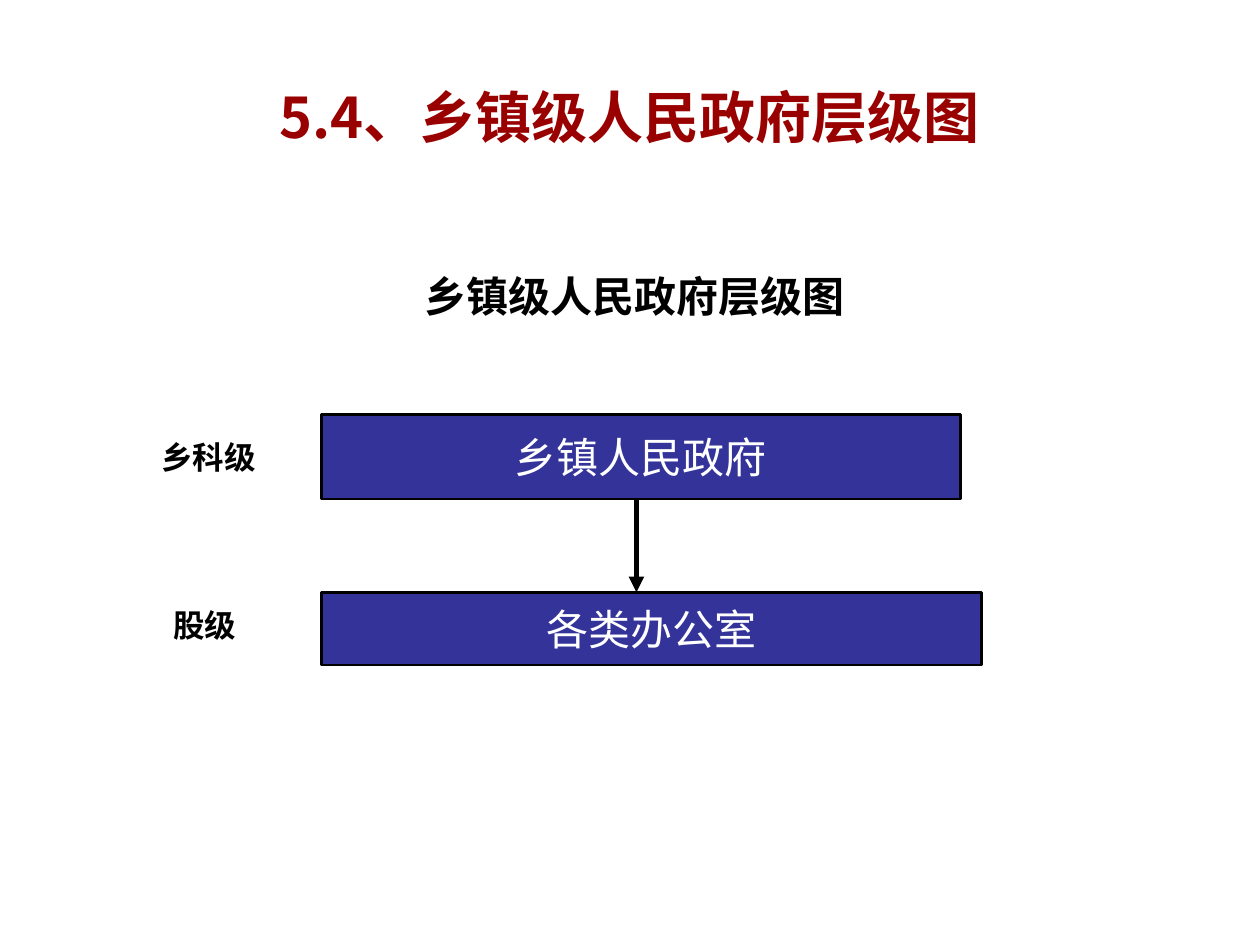
"""Build the slide showing the levels of township government."""
from dataclasses import dataclass

from lxml.etree import SubElement
from pptx import Presentation
from pptx.dml.color import RGBColor as Color
from pptx.enum.shapes import MSO_CONNECTOR as Connector, MSO_SHAPE as Preset
from pptx.enum.text import MSO_ANCHOR as Anchor, PP_ALIGN as Align
from pptx.oxml.ns import qn
from pptx.slide import Slide
from pptx.util import Cm, Pt


@dataclass(frozen=True)
class Theme:
    white: Color = Color(0xFF, 0xFF, 0xFF)
    black: Color = Color(0, 0, 0)
    red: Color = Color(0x99, 0, 0)
    blue: Color = Color(0x33, 0x33, 0x99)
    title_font: str = "Noto Sans CJK SC"
    body_font: str = "Times New Roman"
    title_size: int = 32
    body_size: int = 24
    label_size: int = 18
    border: float = 1.5
    arrow: float = 3


THEME = Theme()


@dataclass(frozen=True)
class Block:
    text: str
    left: float
    top: float
    width: float
    height: float
    size: int = THEME.body_size
    color: Color = THEME.black
    font: str = THEME.body_font
    bold: bool = True
    fill: Color = THEME.white
    bordered: bool = False


def level_bar(text: str, top: float, width: float, height: float) -> Block:
    return Block(text, 6.48, top, width, height, color=THEME.white,
                 bold=False, fill=THEME.blue, bordered=True)


def level_label(text: str, left: float, top: float) -> Block:
    return Block(text, left, top, 3.02, 1.02, size=THEME.label_size)


def draw_block(page: Slide, block: Block) -> None:
    box = page.shapes.add_shape(Preset.RECTANGLE, Cm(block.left), Cm(block.top),
                                Cm(block.width), Cm(block.height))
    box.shadow.inherit = False
    box.fill.solid()
    box.fill.fore_color.rgb = block.fill
    if block.bordered:
        box.line.color.rgb = THEME.black
        box.line.width = Pt(THEME.border)
    else:
        box.line.fill.background()
    frame = box.text_frame
    frame.word_wrap = not block.bordered
    frame.vertical_anchor = Anchor.MIDDLE
    para = frame.paragraphs[0]
    para.text = block.text
    para.alignment = Align.CENTER
    para.font.name = block.font
    para.font.size = Pt(block.size)
    para.font.bold = block.bold
    para.font.color.rgb = block.color


def draw_arrow(page: Slide, center: float, top: float, bottom: float) -> None:
    arrow = page.shapes.add_connector(Connector.STRAIGHT, Cm(center), Cm(top),
                                      Cm(center), Cm(bottom))
    arrow.line.color.rgb = THEME.black
    arrow.line.width = Pt(THEME.arrow)
    SubElement(arrow.line._get_or_add_ln(), qn("a:tailEnd"), type="triangle")
    SubElement(arrow._element.spPr, qn("a:effectLst"))


TITLE = Block("5.4、乡镇级人民政府层级图", 1.27, 0.76, 22.86, 3.18,
              THEME.title_size, THEME.red, THEME.title_font)
SUBTITLE = Block("乡镇级人民政府层级图", 6.78, 5.33, 12.04, 1.27)
UPPER = level_bar("乡镇人民政府", 8.36, 12.88, 1.7)
LOWER = level_bar("各类办公室", 11.94, 13.31, 1.47)
LABELS = (level_label("股级", 2.62, 12.09), level_label("乡科级", 2.69, 8.71))


def main() -> None:
    deck = Presentation()
    deck.slide_width, deck.slide_height = Cm(25.4), Cm(19.05)
    page = deck.slides.add_slide(deck.slide_layouts[6])
    for block in (TITLE, SUBTITLE, UPPER):
        draw_block(page, block)
    draw_arrow(page, 12.83, UPPER.top + UPPER.height, LOWER.top)
    for block in (LOWER, *LABELS):
        draw_block(page, block)
    deck.save("out.pptx")


main()
